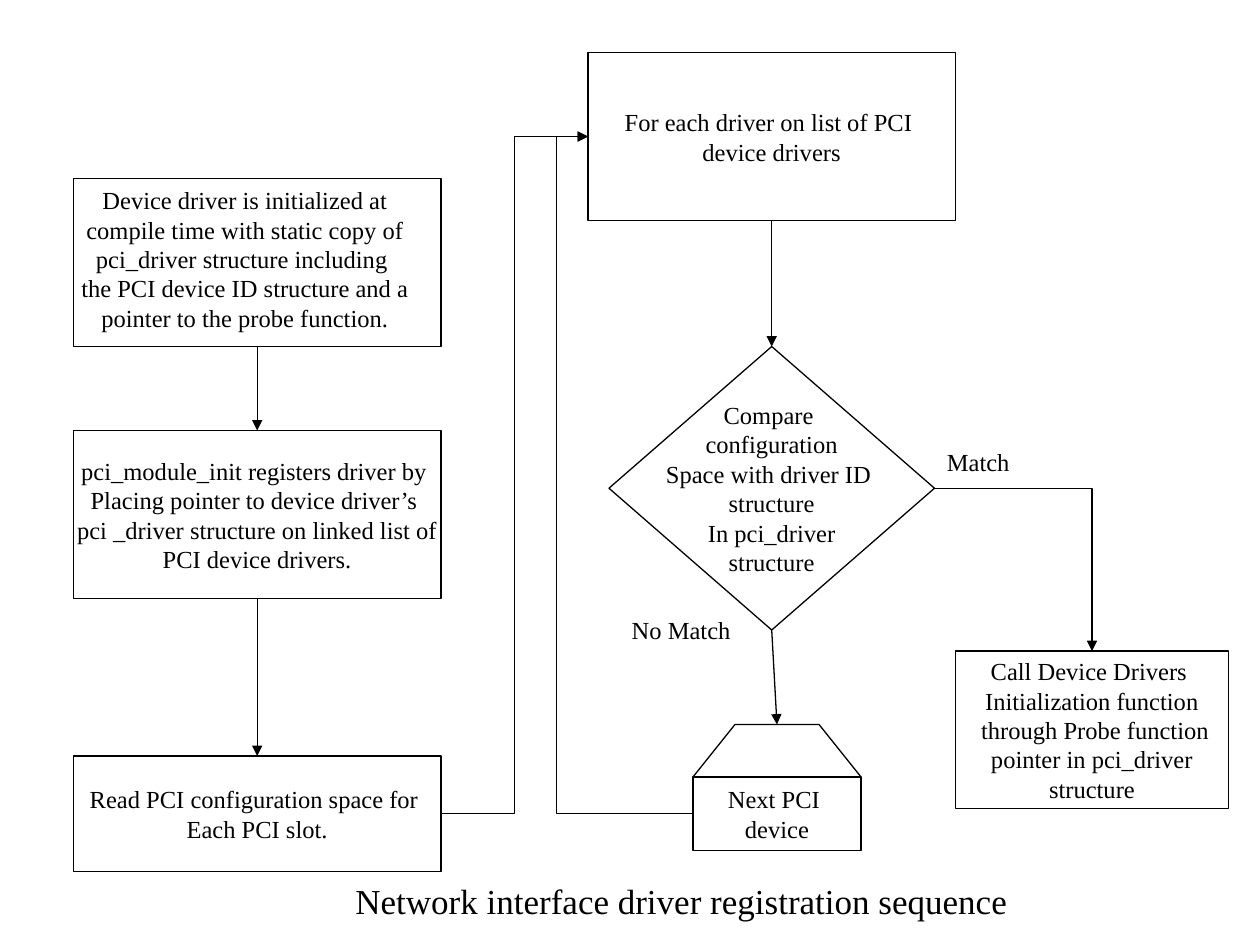
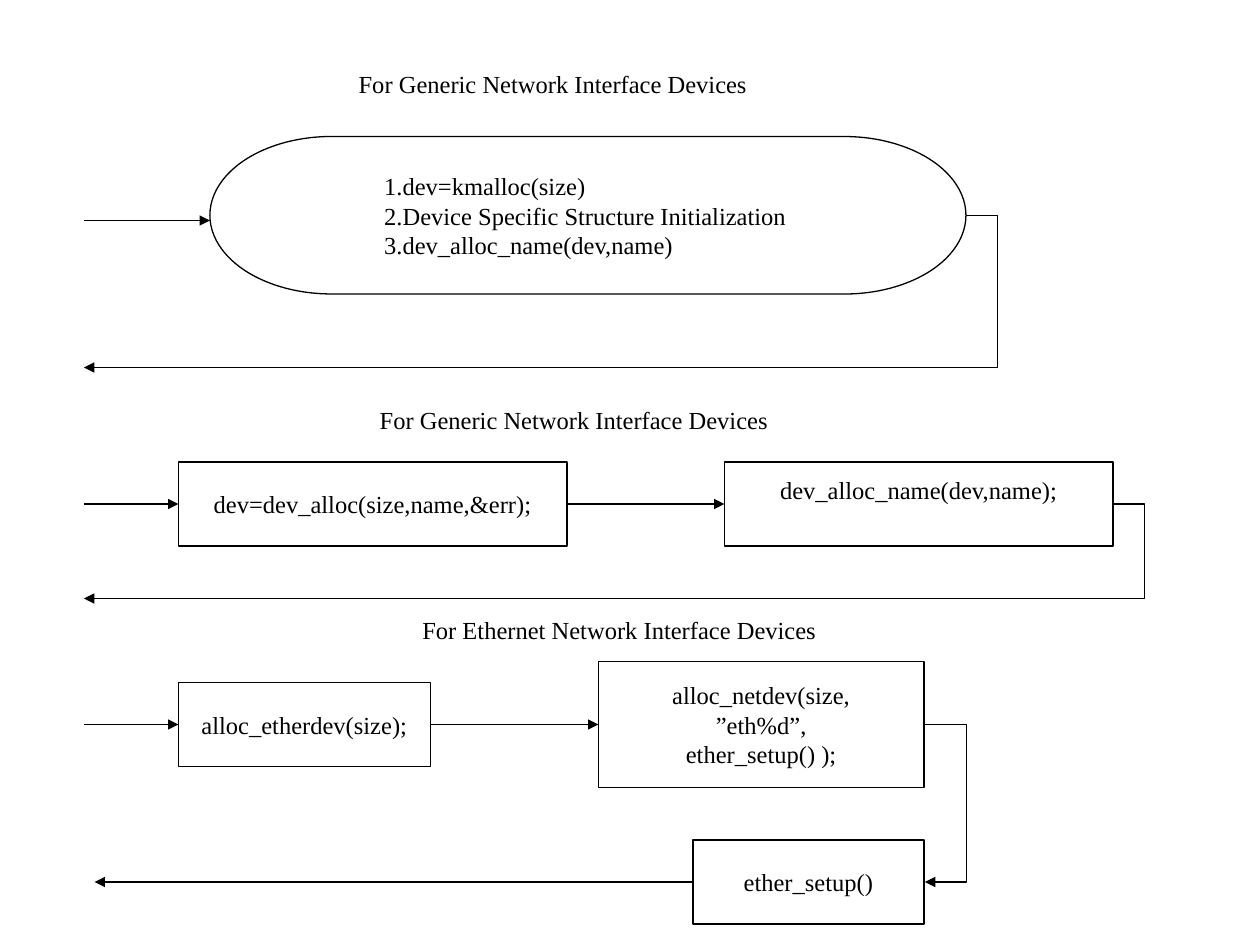
from dataclasses import dataclass

from lxml.etree import SubElement
from pptx import Presentation
from pptx.dml.color import RGBColor
from pptx.enum.shapes import MSO_CONNECTOR as Conn, MSO_SHAPE as Preset
from pptx.enum.text import MSO_ANCHOR as Anchor, MSO_AUTO_SIZE as Fit, PP_ALIGN as Align
from pptx.oxml.ns import qn
from pptx.shapes.base import BaseShape
from pptx.slide import Slide
from pptx.text.text import TextFrame
from pptx.util import Pt

BLACK = RGBColor(0, 0, 0)
WHITE = RGBColor(255, 255, 255)
FONT = "Times New Roman"
LINE_WIDTH = 0.75
SIDE_INSET = 7.2
INSET = 3.6


@dataclass(frozen=True)
class Box:
    """An outlined flowchart node with unwrapped lines of text."""
    x: float
    y: float
    w: float
    h: float
    lines: tuple[str, ...] = ()
    kind: Preset = Preset.RECTANGLE
    align: Align = Align.CENTER
    left: float = SIDE_INSET
    bottom: float = INSET


@dataclass(frozen=True)
class Label:
    """A text box without outline."""
    x: float
    y: float
    w: float
    h: float
    lines: tuple[str, ...]
    size: float = 14
    align: Align = Align.CENTER
    wrap: bool = False


@dataclass(frozen=True)
class Arrow:
    """A straight arrow from one point to another."""
    x1: float
    y1: float
    x2: float
    y2: float


@dataclass(frozen=True)
class Elbow(Arrow):
    """An arrow that turns at a given x; at its end x it has one corner."""
    turn: float


def write_lines(tf: TextFrame, lines: tuple[str, ...], align: Align, size: float = 14) -> None:
    """Write one paragraph per line."""
    for i, line in enumerate(lines):
        p = tf.add_paragraph() if i else tf.paragraphs[0]
        p.alignment = align
        r = p.add_run()
        r.text = line
        r.font.name = FONT
        r.font.size = Pt(size)
        r.font.color.rgb = BLACK


def outline(sp: BaseShape) -> None:
    """Give a shape the white fill and thin black line of all nodes."""
    sp.shadow.inherit = False
    sp.fill.solid()
    sp.fill.fore_color.rgb = WHITE
    sp.line.color.rgb = BLACK
    sp.line.width = Pt(LINE_WIDTH)


def draw_box(s: Slide, box: Box) -> None:
    """Draw a flowchart node."""
    sp = s.shapes.add_shape(box.kind, Pt(box.x), Pt(box.y), Pt(box.w), Pt(box.h))
    outline(sp)
    tf = sp.text_frame
    tf.word_wrap = False
    tf.vertical_anchor = Anchor.MIDDLE
    tf.margin_left = Pt(box.left)
    tf.margin_bottom = Pt(box.bottom)
    write_lines(tf, box.lines, box.align)


def draw_label(s: Slide, label: Label) -> None:
    """Draw a free text."""
    sp = s.shapes.add_textbox(Pt(label.x), Pt(label.y), Pt(label.w), Pt(label.h))
    tf = sp.text_frame
    tf.word_wrap = label.wrap
    tf.auto_size = Fit.SHAPE_TO_FIT_TEXT
    write_lines(tf, label.lines, label.align, label.size)


def draw_arrow(s: Slide, arrow: Arrow) -> None:
    """Draw a straight or bent connector with an arrowhead at its end."""
    bent = isinstance(arrow, Elbow)
    c = s.shapes.add_connector(Conn.ELBOW if bent else Conn.STRAIGHT,
                               Pt(arrow.x1), Pt(arrow.y1), Pt(arrow.x2), Pt(arrow.y2))
    c.line.color.rgb = BLACK
    c.line.width = Pt(LINE_WIDTH)
    pr = c._element.spPr
    SubElement(pr.find(qn("a:ln")), qn("a:tailEnd"), type="triangle")
    SubElement(pr, qn("a:effectLst"))
    if bent:
        geom = pr.find(qn("a:prstGeom"))
        if arrow.turn == arrow.x2:
            geom.set("prst", "bentConnector2")
        else:
            adj = round((arrow.turn - arrow.x1) / (arrow.x2 - arrow.x1) * 100000)
            SubElement(geom.find(qn("a:avLst")), qn("a:gd"), name="adj1", fmla=f"val {adj}")


def draw_outline(s: Slide, points: tuple[tuple[float, float], ...]) -> None:
    """Draw a closed polygon."""
    start, *rest = [(Pt(x), Pt(y)) for x, y in points]
    builder = s.shapes.build_freeform(*start)
    builder.add_line_segments(rest, close=True)
    outline(builder.convert_to_shape())


def draw_all(s: Slide, boxes: list[Box], arrows: list[Arrow], labels: list[Label]) -> None:
    """Draw the parts of one flowchart from back to front."""
    for box in boxes:
        draw_box(s, box)
    for arrow in arrows:
        draw_arrow(s, arrow)
    for label in labels:
        draw_label(s, label)


REGISTRATION_BOXES = [
    Box(42, 102, 210, 96),
    Box(42, 246, 210, 96, (
        "pci_module_init registers driver by ", "Placing pointer to device driver’s ",
        "pci _driver structure on linked list of", "PCI device drivers.")),
    Box(42, 432, 210, 66, ("Read PCI configuration space for ", "Each PCI slot.")),
    Box(336, 30, 210, 96, ("For each driver on list of PCI ", "device drivers")),
    Box(348, 198, 186, 162, (
        "Compare ", "configuration", "Space with driver ID ", "structure",
        "In pci_driver", "structure"), Preset.FLOWCHART_DECISION),
    Box(546, 372, 156, 90, (
        "Call Device Drivers ", "Initialization function", " through Probe function",
        " pointer in pci_driver ", "structure")),
    Box(396, 444, 96, 42, ("Next PCI ", "device")),
]
NEXT_DEVICE_ROOF = ((396, 444), (420, 414), (468, 414), (492, 444))
REGISTRATION_ARROWS = [
    Arrow(147, 198, 147, 246),
    Arrow(147, 342, 147, 432),
    Elbow(252, 465, 336, 78, turn=294),
    Arrow(441, 126, 441, 198),
    Elbow(534, 279, 624, 372, turn=624),
    Arrow(441, 360, 444, 414),
    Elbow(396, 465, 336, 78, turn=318),
]
REGISTRATION_LABELS = [
    Label(30, 102.25, 220, 108, (
        "Device driver is initialized at compile time with static copy of",
        "pci_driver structure including ",
        "the PCI device ID structure and a pointer to the probe function."), wrap=True),
    Label(533, 252, 52, 24.5, ("Match",)),
    Label(352, 348, 74.5, 24.5, ("No Match",)),
    Label(196, 499, 390, 31.5, ("Network interface driver registration sequence",),
          size=20, align=Align.LEFT),
]

ALLOCATION_BOXES = [
    Box(120, 78, 432, 90, (
        "1.dev=kmalloc(size)", "2.Device Specific Structure Initialization",
        "3.dev_alloc_name(dev,name)"), Preset.FLOWCHART_TERMINATOR, Align.LEFT,
        left=SIDE_INSET + 72),
    Box(102, 264, 222, 48, ("dev=dev_alloc(size,name,&err);",)),
    Box(414, 264, 222, 48, ("dev_alloc_name(dev,name);",), bottom=20),
    Box(102, 390, 144, 48, ("alloc_etherdev(size);",)),
    Box(342, 378, 186, 72, ("alloc_netdev(size,", "”eth%d”,", "ether_setup() );")),
    Box(396, 480, 132, 48, ("ether_setup()",)),
]
ALLOCATION_ARROWS = [
    Arrow(48, 126, 120, 126),
    Elbow(552, 123, 48, 210, turn=570),
    Arrow(48, 288, 102, 288),
    Arrow(324, 288, 414, 288),
    Elbow(636, 288, 48, 342, turn=654.25),
    Arrow(48, 414, 102, 414),
    Arrow(246, 414, 342, 414),
    Elbow(528, 414, 528.5, 504, turn=552),
    Arrow(396, 504, 54, 504),
]
ALLOCATION_LABELS = [
    Label(196, 36, 240, 24.5, ("For Generic Network Interface Devices",)),
    Label(208, 228, 240, 24.5, ("For Generic Network Interface Devices",)),
    Label(210, 348, 288, 24.5, ("For Ethernet Network Interface Devices",), wrap=True),
]


def main() -> None:
    """Build both flowcharts and save them."""
    prs = Presentation()
    prs.slide_width, prs.slide_height = Pt(720), Pt(540)
    blank = prs.slide_layouts[6]
    s = prs.slides.add_slide(blank)
    draw_outline(s, NEXT_DEVICE_ROOF)
    draw_all(s, REGISTRATION_BOXES, REGISTRATION_ARROWS, REGISTRATION_LABELS)
    s = prs.slides.add_slide(blank)
    draw_all(s, ALLOCATION_BOXES, ALLOCATION_ARROWS, ALLOCATION_LABELS)
    prs.save("out.pptx")


if __name__ == "__main__":
    main()
